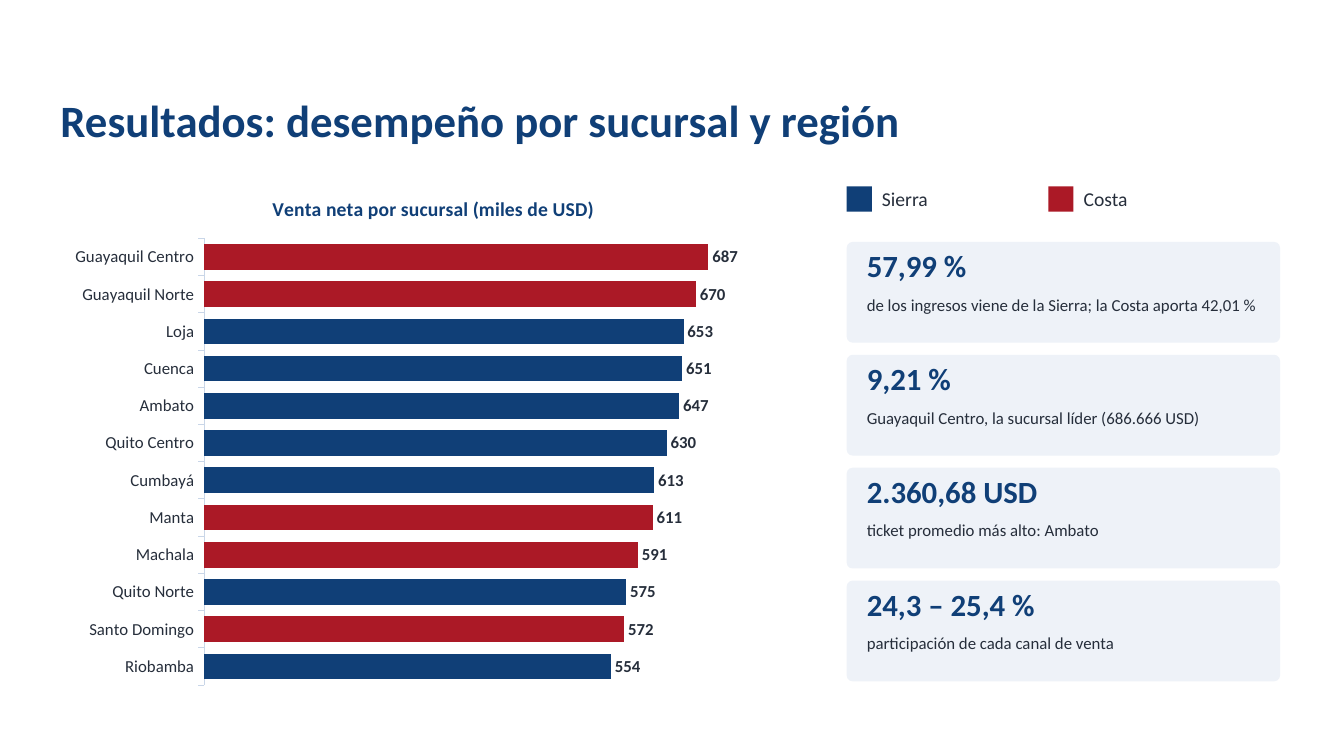
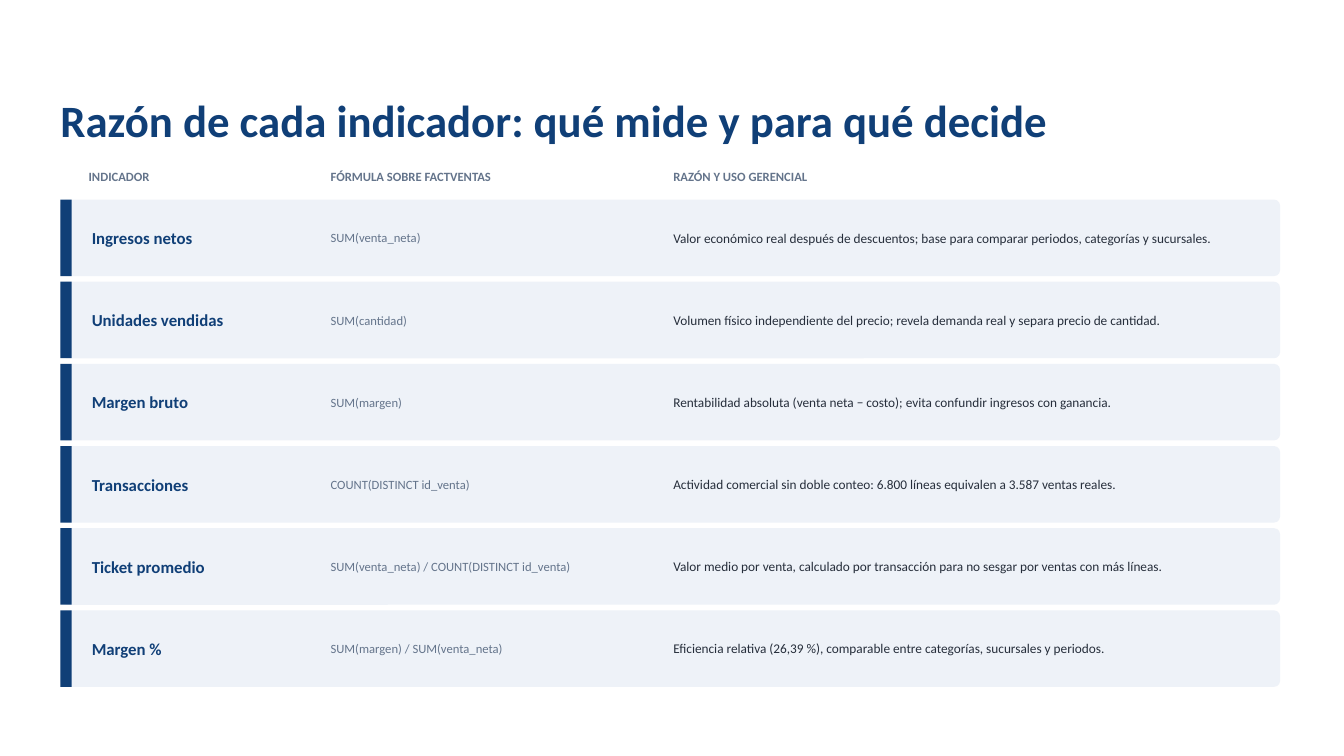
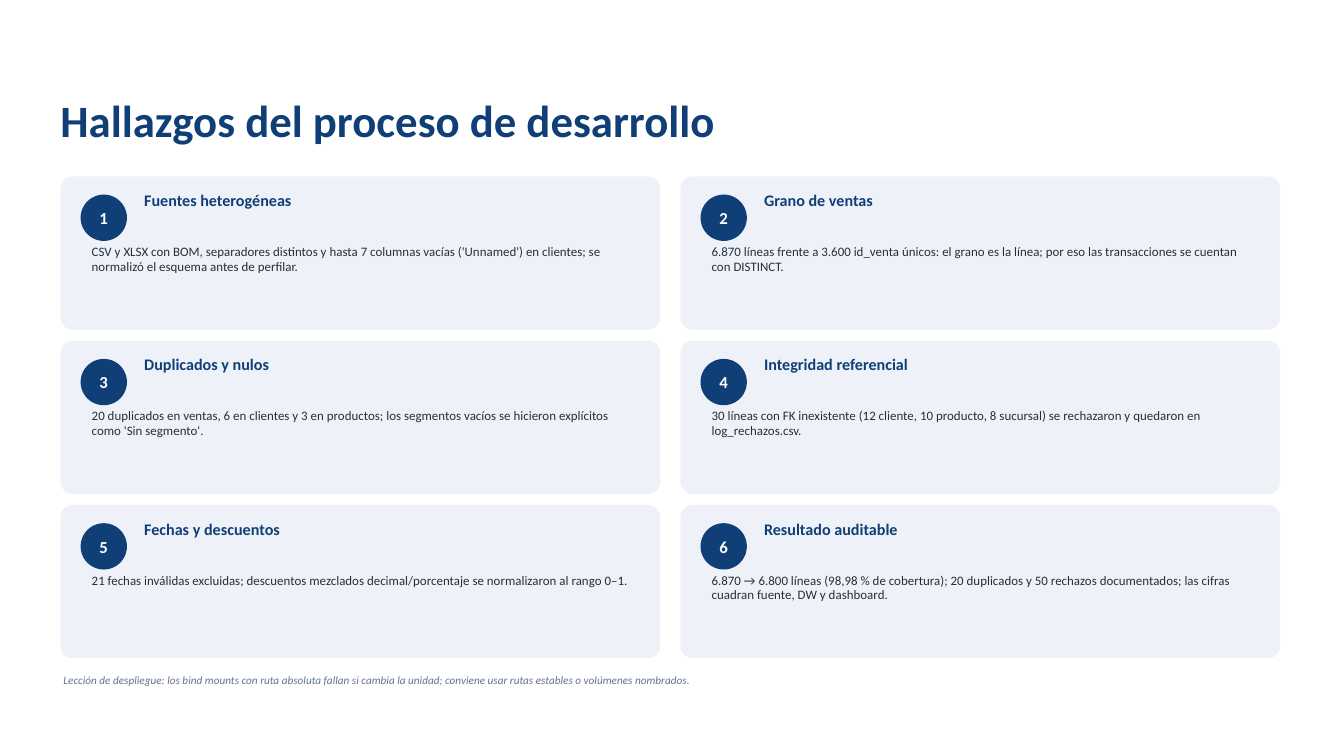
from dataclasses import dataclass

from pptx import Presentation
from pptx.chart.data import CategoryChartData
from pptx.dml.color import RGBColor
from pptx.enum.chart import XL_CHART_TYPE as Chart, XL_LABEL_POSITION as LabelPos
from pptx.enum.chart import XL_TICK_LABEL_POSITION as TickLabel, XL_TICK_MARK as Tick
from pptx.enum.shapes import MSO_SHAPE as Shape
from pptx.enum.text import MSO_ANCHOR as Anchor, PP_ALIGN as Align
from pptx.util import Pt


@dataclass(frozen=True)
class Theme:
    font: str = "Calibri"
    navy: str = "103F77"
    red: str = "AB1926"
    ink: str = "262E3B"
    muted: str = "64748B"
    card: str = "EEF2F8"
    axis: str = "C9D6E8"
    white: str = "FFFFFF"
    title: float = 32
    figure: float = 22
    legend: float = 14
    body: float = 12
    finding: float = 11.5
    reason: float = 9.5
    detail: float = 9.2
    small: float = 9
    note: float = 8


T = Theme()
LEFT, WIDTH = 43.2, 871.2
TIGHT = (2.16, 1.44)

BRANCHES = [
    ("Guayaquil Centro", 687, "Costa"),
    ("Guayaquil Norte", 670, "Costa"),
    ("Loja", 653, "Sierra"),
    ("Cuenca", 651, "Sierra"),
    ("Ambato", 647, "Sierra"),
    ("Quito Centro", 630, "Sierra"),
    ("Cumbayá", 613, "Sierra"),
    ("Manta", 611, "Costa"),
    ("Machala", 591, "Costa"),
    ("Quito Norte", 575, "Sierra"),
    ("Santo Domingo", 572, "Costa"),
    ("Riobamba", 554, "Sierra"),
]
REGIONS = {"Sierra": T.navy, "Costa": T.red}

FIGURES = [
    ("57,99 %", "de los ingresos viene de la Sierra; la Costa aporta 42,01 %"),
    ("9,21 %", "Guayaquil Centro, la sucursal líder (686.666 USD)"),
    ("2.360,68 USD", "ticket promedio más alto: Ambato"),
    ("24,3 – 25,4 %", "participación de cada canal de venta"),
]

INDICATORS = [
    ("Ingresos netos", "SUM(venta_neta)",
     "Valor económico real después de descuentos; base para comparar periodos, categorías y sucursales."),
    ("Unidades vendidas", "SUM(cantidad)",
     "Volumen físico independiente del precio; revela demanda real y separa precio de cantidad."),
    ("Margen bruto", "SUM(margen)",
     "Rentabilidad absoluta (venta neta − costo); evita confundir ingresos con ganancia."),
    ("Transacciones", "COUNT(DISTINCT id_venta)",
     "Actividad comercial sin doble conteo: 6.800 líneas equivalen a 3.587 ventas reales."),
    ("Ticket promedio", "SUM(venta_neta) / COUNT(DISTINCT id_venta)",
     "Valor medio por venta, calculado por transacción para no sesgar por ventas con más líneas."),
    ("Margen %", "SUM(margen) / SUM(venta_neta)",
     "Eficiencia relativa (26,39 %), comparable entre categorías, sucursales y periodos."),
]

FINDINGS = [
    ("Fuentes heterogéneas",
     "CSV y XLSX con BOM, separadores distintos y hasta 7 columnas vacías ('Unnamed') en clientes; "
     "se normalizó el esquema antes de perfilar."),
    ("Grano de ventas",
     "6.870 líneas frente a 3.600 id_venta únicos: el grano es la línea; "
     "por eso las transacciones se cuentan con DISTINCT."),
    ("Duplicados y nulos",
     "20 duplicados en ventas, 6 en clientes y 3 en productos; "
     "los segmentos vacíos se hicieron explícitos como 'Sin segmento'."),
    ("Integridad referencial",
     "30 líneas con FK inexistente (12 cliente, 10 producto, 8 sucursal) "
     "se rechazaron y quedaron en log_rechazos.csv."),
    ("Fechas y descuentos",
     "21 fechas inválidas excluidas; descuentos mezclados decimal/porcentaje "
     "se normalizaron al rango 0–1."),
    ("Resultado auditable",
     "6.870 → 6.800 líneas (98,98 % de cobertura); 20 duplicados y 50 rechazos documentados; "
     "las cifras cuadran fuente, DW y dashboard."),
]


def rgb(color):
    return RGBColor.from_string(color)


def set_font(font, size=T.body, color=T.ink, bold=False, italic=False):
    font.name, font.size, font.bold, font.italic = T.font, Pt(size), bold, italic
    font.color.rgb = rgb(color)


def write(tf, text, align=Align.LEFT, spacing=None, **style):
    p = tf.paragraphs[0]
    p.alignment = align
    if spacing:
        p.line_spacing = spacing
    r = p.add_run()
    r.text = text
    set_font(r.font, **style)


def frame(tf, anchor, inset):
    tf.word_wrap = True
    tf.vertical_anchor = anchor
    tf.margin_left = tf.margin_right = Pt(inset[0])
    tf.margin_top = tf.margin_bottom = Pt(inset[1])


class Deck:
    def __init__(self, theme):
        self.theme = theme
        self.prs = Presentation()
        self.prs.slide_width, self.prs.slide_height = Pt(960), Pt(540)
        self.s = None

    def slide(self, title):
        self.s = self.prs.slides.add_slide(self.prs.slide_layouts[6])
        self.text(title, LEFT, 59, WIDTH, 57.6, anchor=Anchor.MIDDLE, spacing=0.9,
                  size=self.theme.title, color=self.theme.navy, bold=True)

    def text(self, text, x, y, w, h, anchor=Anchor.TOP, inset=(0, 0), **style):
        tf = self.s.shapes.add_textbox(Pt(x), Pt(y), Pt(w), Pt(h)).text_frame
        frame(tf, anchor, inset)
        write(tf, text, **style)

    def shape(self, kind, x, y, w, h, color):
        sp = self.s.shapes.add_shape(kind, Pt(x), Pt(y), Pt(w), Pt(h))
        sp.shadow.inherit = False
        sp.fill.solid()
        sp.fill.fore_color.rgb = rgb(color)
        sp.line.fill.background()
        return sp

    def card(self, x, y, w, h, radius=0.08):
        sp = self.shape(Shape.ROUNDED_RECTANGLE, x, y, w, h, self.theme.card)
        sp.adjustments[0] = radius

    def badge(self, text, x, y, d):
        sp = self.shape(Shape.OVAL, x, y, d, d, self.theme.navy)
        frame(sp.text_frame, Anchor.MIDDLE, (0, 0))
        write(sp.text_frame, text, align=Align.CENTER, color=self.theme.white, bold=True)

    def bars(self, title, names, values, colors, x, y, w, h):
        data = CategoryChartData()
        data.categories = names
        data.add_series("Venta neta", values)
        chart = self.s.shapes.add_chart(
            Chart.BAR_CLUSTERED, Pt(x), Pt(y), Pt(w), Pt(h), data).chart
        set_font(chart.font)
        chart.has_legend = False
        chart.has_title = True
        write(chart.chart_title.text_frame, title, align=Align.CENTER,
              size=self.theme.legend, color=self.theme.navy, bold=True)
        chart.chart_title.include_in_layout = False

        cat = chart.category_axis
        cat.reverse_order = True
        cat.major_tick_mark = Tick.OUTSIDE
        cat.has_major_gridlines = False
        cat.format.line.color.rgb = rgb(self.theme.axis)
        cat.format.line.width = Pt(0.75)
        set_font(cat.tick_labels.font)
        val = chart.value_axis
        val.minimum_scale = 0
        val.has_major_gridlines = False
        val.tick_label_position = TickLabel.NONE
        val.visible = False

        plot = chart.plots[0]
        plot.gap_width = 45
        plot.vary_by_categories = False
        plot.has_data_labels = True
        labels = plot.data_labels
        labels.show_value = True
        labels.position = LabelPos.OUTSIDE_END
        labels.number_format, labels.number_format_is_linked = "#,##0", False
        set_font(labels.font, bold=True)
        for i, color in enumerate(colors):
            fill = plot.series[0].points[i].format.fill
            fill.solid()
            fill.fore_color.rgb = rgb(color)


def results(d):
    d.slide("Resultados: desempeño por sucursal y región")
    names, values, regions = zip(*BRANCHES)
    d.bars("Venta neta por sucursal (miles de USD)", names, values,
           [REGIONS[region] for region in regions], LEFT, 126, 532.8, 370.8)
    x = 604.8
    for i, (region, color) in enumerate(REGIONS.items()):
        key = x + 144 * i
        d.shape(Shape.RECTANGLE, key, 133.2, 18, 18, color)
        d.text(region, key + 25.2, 129.6, 115.2, 25.2, anchor=Anchor.MIDDLE, size=T.legend)
    for i, (figure, meaning) in enumerate(FIGURES):
        y = 172.8 + 80.64 * i
        d.card(x, y, 309.6, 72, radius=0.06)
        d.text(figure, x + 14.4, y + 3.6, 280.8, 36, size=T.figure, color=T.navy, bold=True)
        d.text(meaning, x + 14.4, y + 37.44, 280.8, 32.4)


def indicators(d):
    d.slide("Razón de cada indicador: qué mide y para qué decide")
    formula_x, reason_x = 234, 478.8
    heads = [("INDICADOR", 61.2), ("FÓRMULA SOBRE FACTVENTAS", formula_x),
             ("RAZÓN Y USO GERENCIAL", reason_x)]
    for head, x in heads:
        d.text(head, x, 119.5, 230.4, 20.2, inset=TIGHT, size=T.small, color=T.muted, bold=True)
    h = 54.72
    for i, (name, formula, reason) in enumerate(INDICATORS):
        y = 142.56 + 58.68 * i
        d.card(LEFT, y, WIDTH, h)
        d.shape(Shape.RECTANGLE, LEFT, y, 8, h, T.navy)
        cells = [
            (name, 63.4, 165.6, dict(color=T.navy, bold=True)),
            (formula, formula_x, 230.4, dict(size=T.small, color=T.muted)),
            (reason, reason_x, 421.2, dict(size=T.reason)),
        ]
        for text, x, w, style in cells:
            d.text(text, x, y, w, h, anchor=Anchor.MIDDLE, inset=TIGHT, **style)


def findings(d):
    d.slide("Hallazgos del proceso de desarrollo")
    for i, (head, detail) in enumerate(FINDINGS):
        row, col = divmod(i, 2)
        x, y = LEFT + 442.8 * col, 126 + 117.36 * row
        d.card(x, y, 428.4, 109.44)
        d.badge(str(i + 1), x + 14.4, y + 13, 33.12)
        d.text(head, x + 57.6, y + 8.64, 356.4, 27.4, inset=TIGHT,
               size=T.finding, color=T.navy, bold=True)
        d.text(detail, x + 20.16, y + 47.52, 392.4, 57.6, inset=TIGHT,
               spacing=0.95, size=T.detail)
    d.text("Lección de despliegue: los bind mounts con ruta absoluta fallan si cambia la unidad; "
           "conviene usar rutas estables o volúmenes nombrados.",
           LEFT, 479.5, WIDTH, 21.6, inset=TIGHT, size=T.note, color=T.muted, italic=True)


def main():
    d = Deck(T)
    for build in (results, indicators, findings):
        build(d)
    d.prs.save("out.pptx")


if __name__ == "__main__":
    main()
